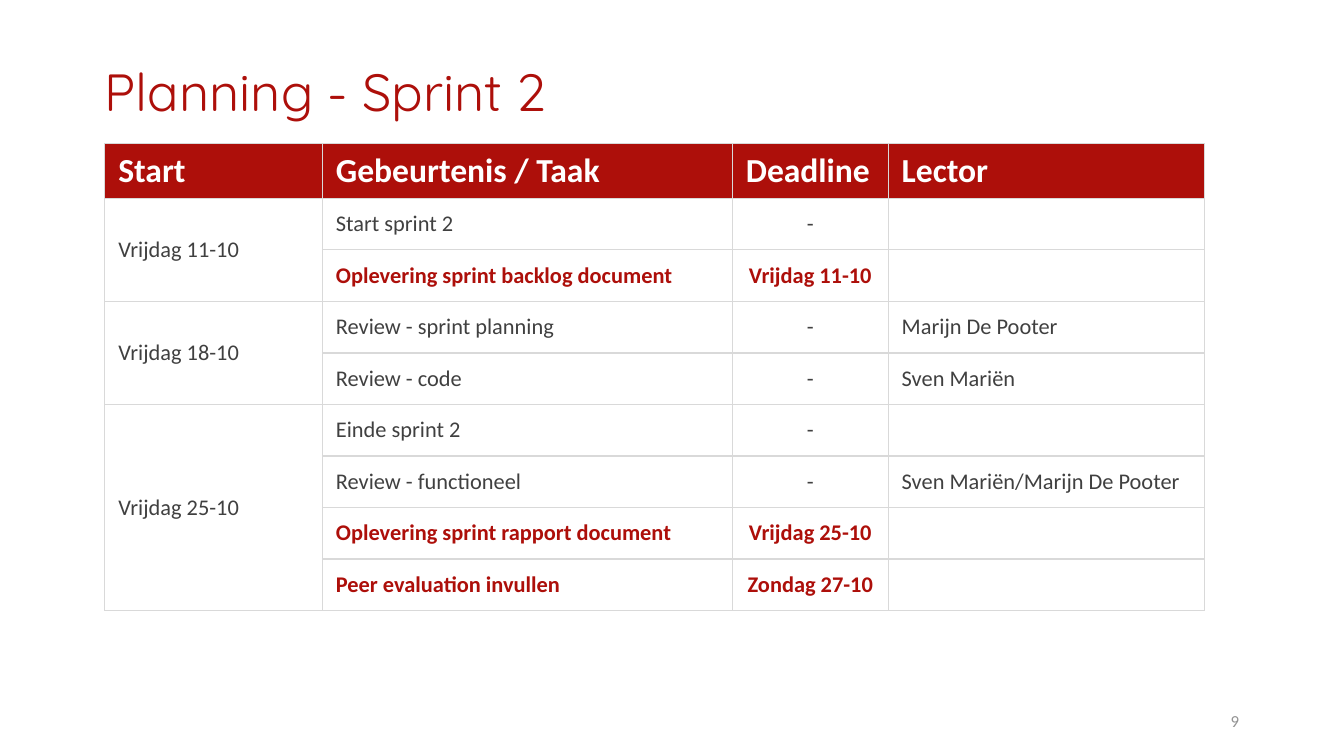
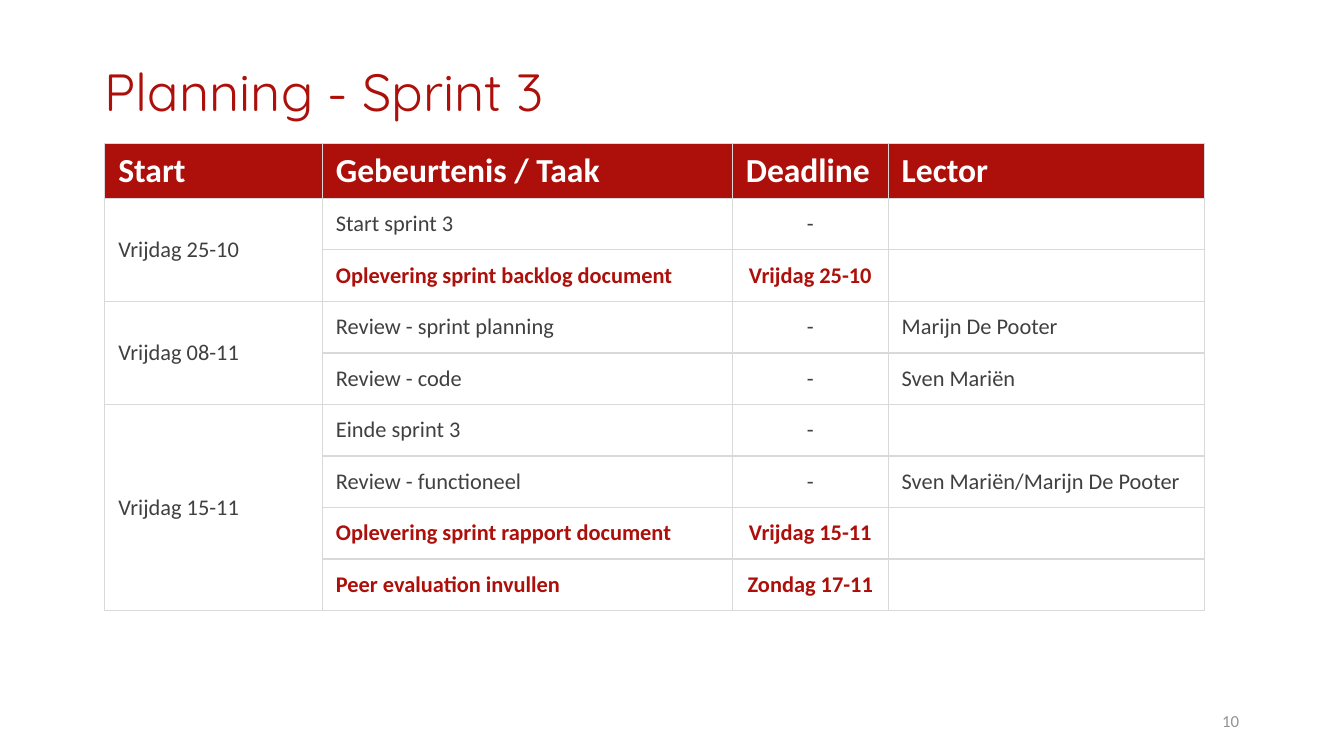
from lxml import etree
from pptx import Presentation
from pptx.dml.color import RGBColor
from pptx.enum.text import MSO_ANCHOR, MSO_AUTO_SIZE, PP_ALIGN
from pptx.oxml.ns import qn
from pptx.util import Inches, Pt

LEFT, CENTER, RIGHT = PP_ALIGN.LEFT, PP_ALIGN.CENTER, PP_ALIGN.RIGHT
TOP, MIDDLE = MSO_ANCHOR.TOP, MSO_ANCHOR.MIDDLE
NO_AUTOFIT = MSO_AUTO_SIZE.NONE

COLORS = {
    "accent": "AD0F0A",
    "body": "404040",
    "header_text": "FFFFFF",
    "number": "939393",
    "border": "D9D9D9",
}
TITLE_FONT, BODY_FONT = "Quicksand", "Calibri"
TITLE_ONLY = 5

SLIDE_WIDTH = Inches(10)
SLIDE_HEIGHT = SLIDE_WIDTH * 9 // 16
TITLE_BOX = (0.69, 0.45, 8.62, 0.49)
NUMBER_BOX = (8.42, 5.21, 0.89, 0.3)
PLANNING_BOX = (0.78, 1.07, 8.18, 3.42)
COLUMN_WIDTHS = (1.62, 3.05, 1.16, 2.35)
HEADER_HEIGHT = 0.35

HEADINGS = ("Start", "Gebeurtenis / Taak", "Deadline", "Lector")
SPRINTS = (
    {"sprint": 2, "page": 9, "start": "Vrijdag 11-10", "review": "Vrijdag 18-10",
     "end": "Vrijdag 25-10", "evaluation": "Zondag 27-10"},
    {"sprint": 3, "page": 10, "start": "Vrijdag 25-10", "review": "Vrijdag 08-11",
     "end": "Vrijdag 15-11", "evaluation": "Zondag 17-11"},
)


def write(frame, text, size, color, font=BODY_FONT, bold=False, align=LEFT, spacing=None):
    paragraph = frame.paragraphs[0]
    paragraph.alignment = align
    if spacing:
        paragraph.line_spacing = spacing
    if not text:
        end = etree.SubElement(paragraph._p, qn("a:endParaRPr"))
        end.set("sz", str(size * 100))
        return
    run = paragraph.add_run()
    run.text = text
    run.font.name = font
    run.font.size = Pt(size)
    run.font.bold = bold
    run.font.color.rgb = RGBColor.from_string(COLORS[color])


def set_frame(frame, anchor):
    frame.word_wrap = True
    frame.auto_size = NO_AUTOFIT
    frame.vertical_anchor = anchor
    frame.margin_left = frame.margin_right = Inches(0.09)
    frame.margin_top = frame.margin_bottom = Inches(0.04)


def add_title(slide, box, text):
    title = slide.shapes.title
    title.left, title.top, title.width, title.height = map(Inches, box)
    set_frame(title.text_frame, TOP)
    write(title.text_frame, text, 28, "accent", font=TITLE_FONT, spacing=0.9)


def add_page_number(slide, box, page):
    frame = slide.shapes.add_textbox(*map(Inches, box)).text_frame
    set_frame(frame, MIDDLE)
    write(frame, str(page), 9, "number", align=RIGHT)


def set_borders(cell):
    properties = cell._tc.get_or_add_tcPr()
    for side in ("lnL", "lnR", "lnT", "lnB"):
        line = etree.SubElement(properties, qn(f"a:{side}"), w=str(Pt(0.75)))
        fill = etree.SubElement(line, qn("a:solidFill"))
        etree.SubElement(fill, qn("a:srgbClr"), val=COLORS["border"])


def planning_periods(dates):
    sprint = dates["sprint"]
    return (
        (dates["start"], (
            (f"Start sprint {sprint}", "-", ""),
            ("Oplevering sprint backlog document", dates["start"], ""),
        )),
        (dates["review"], (
            ("Review - sprint planning", "-", "Marijn De Pooter"),
            ("Review - code", "-", "Sven Mariën"),
        )),
        (dates["end"], (
            (f"Einde sprint {sprint}", "-", ""),
            ("Review - functioneel", "-", "Sven Mariën/Marijn De Pooter"),
            ("Oplevering sprint rapport document", dates["end"], ""),
            ("Peer evaluation invullen", dates["evaluation"], ""),
        )),
    )


def fill_header(planning):
    for column, heading in enumerate(HEADINGS):
        cell = planning.cell(0, column)
        set_borders(cell)
        cell.fill.solid()
        cell.fill.fore_color.rgb = RGBColor.from_string(COLORS["accent"])
        write(cell.text_frame, heading, 18, "header_text", bold=True)


def fill_task(planning, row, values):
    is_due = values[2] != "-"
    for column, value in enumerate(values):
        cell = planning.cell(row, column)
        set_borders(cell)
        cell.fill.background()
        cell.vertical_anchor = MIDDLE
        highlighted = is_due and column > 0
        write(cell.text_frame, value, 12, "accent" if highlighted else "body",
              bold=highlighted, align=CENTER if column == 2 else LEFT)


def add_planning(slide, box, periods):
    task_count = sum(len(tasks) for _, tasks in periods)
    planning = slide.shapes.add_table(
        task_count + 1, len(HEADINGS), *map(Inches, box)).table
    planning.horz_banding = False
    planning.first_row = False
    for column, width in zip(planning.columns, COLUMN_WIDTHS):
        column.width = Inches(width)
    for row in planning.rows:
        row.height = Inches((box[3] - HEADER_HEIGHT) / task_count)
    planning.rows[0].height = Inches(HEADER_HEIGHT)

    fill_header(planning)
    first = 1
    for date, tasks in periods:
        for offset, task in enumerate(tasks):
            fill_task(planning, first + offset, ("" if offset else date, *task))
        last = first + len(tasks) - 1
        planning.cell(first, 0).merge(planning.cell(last, 0))
        first = last + 1


def add_sprint_slide(deck, dates):
    slide = deck.slides.add_slide(deck.slide_layouts[TITLE_ONLY])
    add_title(slide, TITLE_BOX, f"Planning - Sprint {dates['sprint']}")
    add_page_number(slide, NUMBER_BOX, dates["page"])
    add_planning(slide, PLANNING_BOX, planning_periods(dates))


def main():
    deck = Presentation()
    deck.slide_width, deck.slide_height = SLIDE_WIDTH, SLIDE_HEIGHT
    for dates in SPRINTS:
        add_sprint_slide(deck, dates)
    deck.save("out.pptx")


if __name__ == "__main__":
    main()
